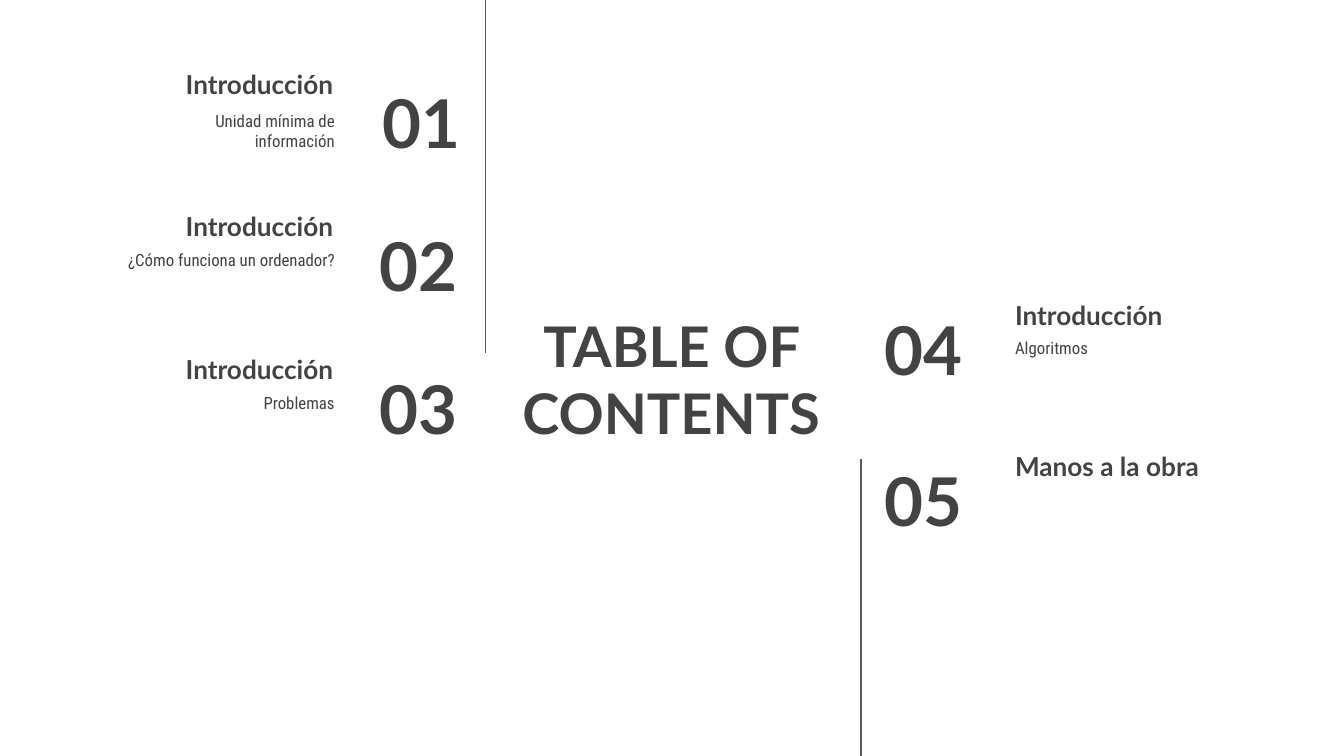
"""Build a table of contents slide with numbered sections on both sides of the title."""
from lxml import etree
from pptx import Presentation
from pptx.dml.color import RGBColor
from pptx.enum.shapes import MSO_CONNECTOR
from pptx.enum.text import MSO_ANCHOR as Anchor, PP_ALIGN as Align
from pptx.oxml.ns import qn
from pptx.util import Pt

PX = 9525
INK = RGBColor(0x43, 0x43, 0x43)
RULE = RGBColor(0x59, 0x59, 0x59)
INSET = 10 * PX


def add_text(text, left, top, width, height, size, align, anchor, font="Lato", bold=True):
    box = page.shapes.add_textbox(left * PX, top * PX, width * PX, height * PX)
    frame = box.text_frame
    frame.word_wrap = True
    frame.vertical_anchor = anchor
    frame.margin_left = frame.margin_right = INSET
    frame.margin_top = frame.margin_bottom = INSET
    para = frame.paragraphs[0]
    para.text = text
    para.alignment = align
    para.font.name = font
    para.font.size = Pt(size)
    para.font.bold = bold
    para.font.color.rgb = INK
    return para


deck = Presentation()
deck.slide_width = 960 * PX
deck.slide_height = 540 * PX
page = deck.slides.add_slide(deck.slide_layouts[6])

add_text("TABLE OF CONTENTS", 355, 221, 249, 99, 30, Align.CENTER, Anchor.MIDDLE)

for x, top, bottom in [(347, 0, 252), (615, 328, 540)]:
    line = page.shapes.add_connector(MSO_CONNECTOR.STRAIGHT, x * PX, top * PX, x * PX, bottom * PX)
    line.line.color.rgb = RULE
    line.line.width = Pt(0.75)
    etree.SubElement(line._element.spPr, qn("a:effectLst"))

left_sections = [
    ("01", "Introducción", "Unidad mínima de información"),
    ("02", "Introducción", "¿Cómo funciona un ordenador?"),
    ("03", "Introducción", "Problemas"),
]
right_sections = [
    ("04", "Introducción", "Algoritmos"),
    ("05", "Manos a la obra", ""),
]
columns = [
    (left_sections, Align.RIGHT, 21, 102, 41, 73, 221, 116, 36),
    (right_sections, Align.LEFT, 186, 108, 715, 715, 622, 112, 33),
]

for sections, align, start, step, heading_x, detail_x, number_x, number_width, drop in columns:
    for row, (number, heading, detail) in enumerate(sections):
        top = start + row * step
        add_text(heading, heading_x, top, 207, 60, 14, align, Anchor.BOTTOM)
        nudge = 2 if number == "01" else 0
        add_text(number, number_x + nudge, top + drop, number_width, 60, 36, align, Anchor.MIDDLE)
        if detail:
            para = add_text(detail, detail_x, top + 48, 176, 60, 9, align, Anchor.TOP,
                            "Roboto Condensed", False)
            if number == "01":
                properties = para._p.get_or_add_pPr()
                properties.set("marL", str(48 * PX))
                properties.set("indent", str(-32 * PX))

deck.save("out.pptx")
